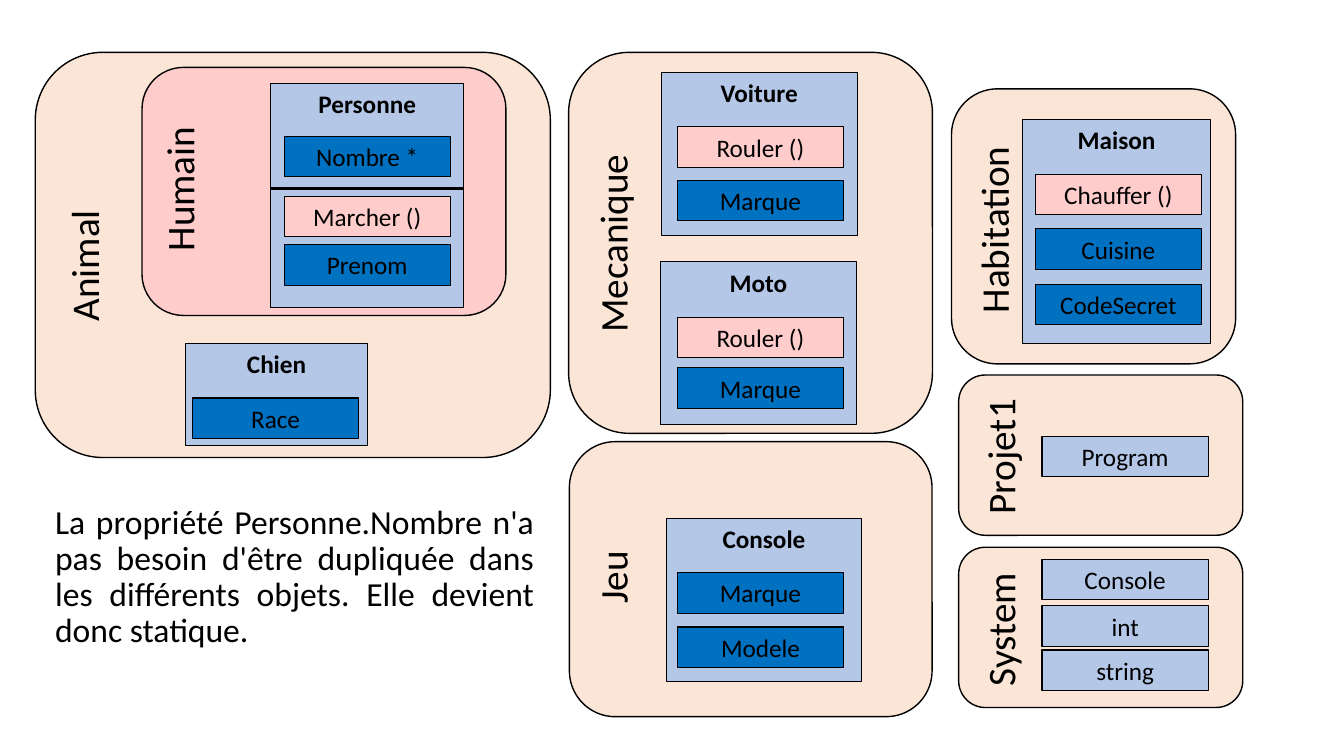
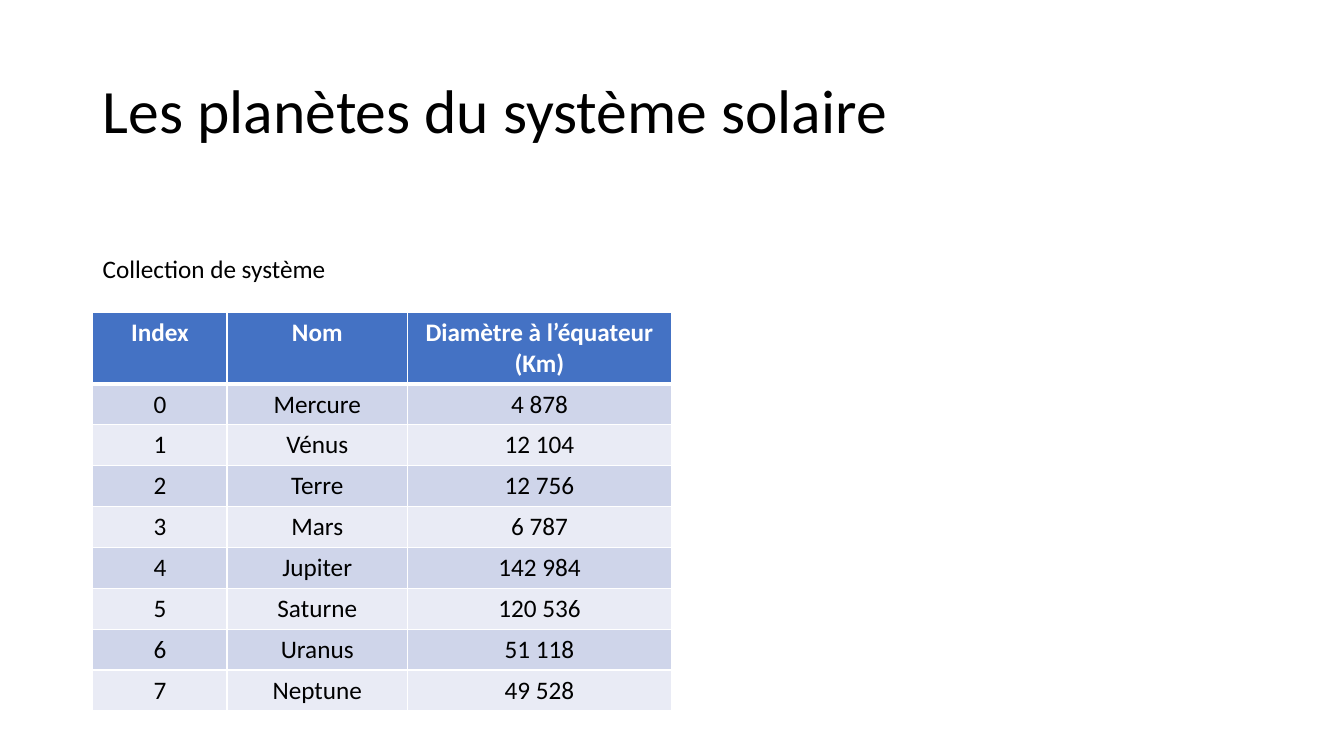
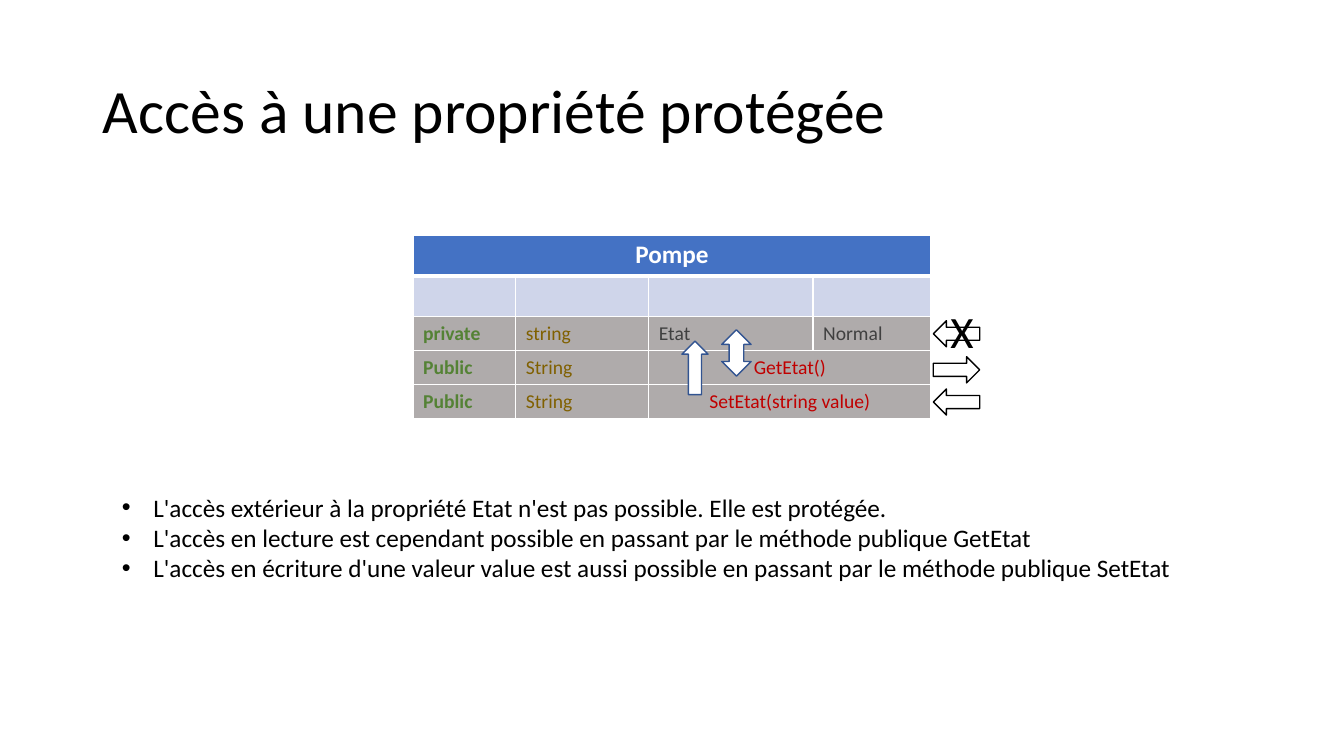
"""Build three slides on classes, a planet collection and protected access."""
from lxml import etree
from pptx import Presentation
from pptx.dml.color import RGBColor
from pptx.enum.shapes import MSO_CONNECTOR, MSO_SHAPE
from pptx.enum.text import MSO_ANCHOR, MSO_AUTO_SIZE, PP_ALIGN
from pptx.oxml.ns import qn
from pptx.util import Cm, Pt

LEFT, CENTER, JUSTIFY = PP_ALIGN.LEFT, PP_ALIGN.CENTER, PP_ALIGN.JUSTIFY
TOP, MIDDLE = MSO_ANCHOR.TOP, MSO_ANCHOR.MIDDLE
NO_FIT = MSO_AUTO_SIZE.NONE
RECTANGLE, ROUNDED = MSO_SHAPE.RECTANGLE, MSO_SHAPE.ROUNDED_RECTANGLE
RIGHT_ARROW, UP_DOWN_ARROW = MSO_SHAPE.RIGHT_ARROW, MSO_SHAPE.UP_DOWN_ARROW
STRAIGHT = MSO_CONNECTOR.STRAIGHT

FONT = "Calibri"
COLOURS = {
    "black": "000000", "white": "FFFFFF", "peach": "FBE5D6", "pink": "FFCCCC",
    "class": "B4C7E7", "property": "0070C0", "header": "4472C4",
    "band": "CFD5EA", "light band": "E9EBF5", "grey": "AFABAB",
    "green": "548235", "brown": "806000", "dark grey": "404040",
    "red": "C00000", "arrow": "325491",
}
BLANK, TITLE_ONLY, TITLE_AND_BODY = 6, 5, 1
MEMBER_WIDTH, MEMBER_HEIGHT = 4.19, 1.02
LABEL_HEIGHT = 1.45

NAMESPACES = [
    ("Mecanique", "peach", (14.33, 1.32, 9.17, 9.6), (15.43, 6.11, 5.05)),
    ("Animal", "peach", (0.89, 1.32, 12.98, 10.21), (2.11, 6.67, 3.35)),
    ("Humain", "pink", (3.58, 1.7, 9.17, 6.25), (4.51, 4.74, 3.68)),
    ("Habitation", "peach", (23.98, 2.24, 7.16, 6.93), (25.04, 5.75, 4.78)),
    ("Jeu", "peach", (14.35, 11.13, 9.14, 6.93), (15.43, 14.54, 1.85)),
    ("Projet1", "peach", (24.16, 9.45, 7.16, 4.04), (25.2, 11.49, 3.45)),
    ("System", "peach", (24.16, 13.79, 7.16, 4.04), (25.2, 15.84, 3.4)),
]
CLASSES = [
    ("Personne", (6.83, 2.11, 4.85, 5.64), 7.16,
     [("Nombre *", 3.43), ("Marcher ()", 4.95), ("Prenom", 6.17)]),
    ("Voiture", (16.66, 1.83, 4.95, 4.11), 17.07,
     [("Rouler ()", 3.2), ("Marque", 4.55)]),
    ("Moto", (16.64, 6.6, 4.95, 4.11), 17.07,
     [("Rouler ()", 8), ("Marque", 9.27)]),
    ("Chien", (4.67, 8.66, 4.6, 2.57), 4.85, [("Race", 10.03)]),
    ("Maison", (25.78, 3.02, 4.72, 5.64), 26.09,
     [("Chauffer ()", 4.39), ("Cuisine", 5.77), ("CodeSecret", 7.16)]),
    ("Console", (16.79, 13.06, 4.93, 4.11), 17.07,
     [("Marque", 14.43), ("Modele", 15.8)]),
]
PLAIN_CLASSES = [("Program", 11), ("Console", 14.1), ("int", 15.27), ("string", 16.38)]
STATIC_NOTE = (
    "La propriété Personne.Nombre n'a pas besoin d'être dupliquée dans les "
    "différents objets. Elle devient donc statique."
)
PLANETS = [
    ("Mercure", "4 878"), ("Vénus", "12 104"), ("Terre", "12 756"),
    ("Mars", "6 787"), ("Jupiter", "142 984"), ("Saturne", "120 536"),
    ("Uranus", "51 118"), ("Neptune", "49 528"),
]
PUMP_ROWS = [
    ["Pompe", None, None, None],
    ["", "", "", ""],
    ["private", "string", "Etat", "Normal"],
    ["Public", "String", "GetEtat()", None],
    ["Public", "String", "SetEtat(string value)", None],
]
ACCESS_RULES = [
    "L'accès extérieur à la propriété Etat n'est pas possible. Elle est protégée.",
    "L'accès en lecture est cependant possible en passant par le méthode publique GetEtat",
    "L'accès en écriture d'une valeur value est aussi possible en passant par le "
    "méthode publique SetEtat",
]
HEADER_LOOK = ("header", "white", 18, True, CENTER)


def rgb(name):
    return RGBColor.from_string(COLOURS[name])


def planet_look(row, column):
    if row == 0:
        return HEADER_LOOK
    return ("band" if row % 2 else "light band", "black", 18, False, CENTER)


def pump_look(row, column):
    if row == 0:
        return HEADER_LOOK
    if row == 1:
        return ("band", "black", 18, False, LEFT)
    if row > 2 and column >= 2:
        return ("grey", "red", 14, False, CENTER)
    colour = ("green", "brown", "dark grey", "dark grey")[column]
    return ("grey", colour, 14, column == 0, LEFT)


class Deck:
    def __init__(self):
        self.deck = Presentation()
        self.deck.slide_width, self.deck.slide_height = Cm(33.87), Cm(19.05)
        self.page = None

    def new_page(self, layout, title=None):
        self.page = self.deck.slides.add_slide(self.deck.slide_layouts[layout])
        if title:
            box = self.page.shapes.title
            self.place(box, (2.34, 1.02, 29.21, 3.68))
            self.fill_text(box.text_frame, title, 44, spacing=0.9, anchor=MIDDLE)

    def place(self, box, area):
        box.left, box.top, box.width, box.height = map(Cm, area)

    def style(self, paragraph, size, colour="black", bold=False, align=LEFT, spacing=1.0):
        paragraph.alignment = align
        paragraph.line_spacing = spacing
        paragraph.space_before = Pt(0)
        for span in paragraph.runs:
            span.font.name = FONT
            span.font.size = Pt(size)
            span.font.bold = bold
            span.font.color.rgb = rgb(colour)

    def fill_text(self, frame, text, size, anchor=TOP, wrap=True, **look):
        frame.text = text
        frame.auto_size = NO_FIT
        frame.word_wrap = wrap
        frame.vertical_anchor = anchor
        for paragraph in frame.paragraphs:
            self.style(paragraph, size, **look)

    def shape(self, kind, area, fill, line="black", weight=1, rotation=0):
        shape = self.page.shapes.add_shape(kind, *map(Cm, area))
        shape.shadow.inherit = False
        shape.fill.solid()
        shape.fill.fore_color.rgb = rgb(fill)
        shape.line.color.rgb = rgb(line)
        shape.line.width = Pt(weight)
        shape.rotation = rotation
        return shape

    def text(self, text, area, size, rotation=0, **look):
        box = self.page.shapes.add_textbox(*map(Cm, area))
        box.rotation = rotation
        self.fill_text(box.text_frame, text, size, **look)

    def box(self, text, area, fill, bold=False):
        box = self.shape(RECTANGLE, area, fill, weight=0.75)
        self.fill_text(box.text_frame, text, 18, bold=bold, align=CENTER)

    def member(self, text, left, top, fill):
        self.box(text, (left, top, MEMBER_WIDTH, MEMBER_HEIGHT), fill)

    def namespace(self, name, fill, area, label):
        self.shape(ROUNDED, area, fill)
        middle_x, middle_y, width = label
        label_area = (middle_x - width / 2, middle_y - LABEL_HEIGHT / 2, width, LABEL_HEIGHT)
        self.text(name, label_area, 28, rotation=270, wrap=False)

    def class_box(self, name, area, member_left, members):
        self.box(name, area, "class", bold=True)
        for text, top in members:
            self.member(text, member_left, top, "pink" if text.endswith("()") else "property")

    def line(self, start, end, weight):
        line = self.page.shapes.add_connector(STRAIGHT, *map(Cm, start + end))
        line.line.color.rgb = rgb("black")
        line.line.width = Pt(weight)
        etree.SubElement(line._element.spPr, qn("a:effectLst"))

    def bullets(self, items, area):
        box = self.page.placeholders[1]
        self.place(box, area)
        self.fill_text(box.text_frame, "\n".join(items), 18)
        for paragraph in box.text_frame.paragraphs:
            properties = paragraph._p.get_or_add_pPr()
            properties.set("marL", str(Cm(0.79)))
            properties.set("indent", str(-Cm(0.79)))

    def borders(self, cell, row):
        properties = cell._tc.get_or_add_tcPr()
        weights = {"lnL": 1, "lnR": 1, "lnT": 3 if row == 1 else 1, "lnB": 3 if row == 0 else 1}
        for side, weight in weights.items():
            edge = etree.SubElement(properties, qn(f"a:{side}"), w=str(Pt(weight)))
            fill = etree.SubElement(edge, qn("a:solidFill"))
            etree.SubElement(fill, qn("a:srgbClr"), val=COLOURS["white"])

    def table(self, left, top, widths, heights, rows, look):
        area = (left, top, sum(widths), sum(heights))
        table = self.page.shapes.add_table(len(rows), len(widths), *map(Cm, area)).table
        for column, width in zip(table.columns, widths):
            column.width = Cm(width)
        for row, (texts, height) in enumerate(zip(rows, heights)):
            table.rows[row].height = Cm(height)
            first = 0
            for column, text in enumerate(texts):
                cell = table.cell(row, column)
                fill, colour, size, bold, align = look(row, column)
                self.borders(cell, row)
                cell.fill.solid()
                cell.fill.fore_color.rgb = rgb(fill)
                if text is not None:
                    first = column
                    cell.text_frame.text = text
                    self.style(cell.text_frame.paragraphs[0], size, colour, bold, align)
                elif column + 1 == len(texts):
                    table.cell(row, first).merge(cell)


def classes_page(deck):
    deck.new_page(BLANK)
    for namespace in NAMESPACES:
        deck.namespace(*namespace)
    for class_data in CLASSES:
        deck.class_box(*class_data)
    for name, top in PLAIN_CLASSES:
        deck.member(name, 26.26, top, "class")
    deck.text(STATIC_NOTE, (1.14, 12.6, 12.57, 5.49), 24, align=JUSTIFY, spacing=0.9)
    deck.line((6.83, 4.75), (11.66, 4.75), 2.25)


def planets_page(deck):
    deck.new_page(TITLE_ONLY, "Les planètes du système solaire")
    deck.text("Collection de système", (2.34, 6.25, 6.2, 1.02), 18, wrap=False)
    rows = [("Index", "Nom", "Diamètre à l’équateur (Km)")]
    rows += [(str(index), *planet) for index, planet in enumerate(PLANETS)]
    heights = [1.78] + [1.02] * len(PLANETS)
    deck.table(2.34, 7.87, [3.38, 4.55, 6.65], heights, rows, planet_look)


def access_page(deck):
    deck.new_page(TITLE_AND_BODY, "Accès à une propriété protégée")
    deck.bullets(ACCESS_RULES, (2.82, 12.27, 28.22, 2.57))
    heights = [1.02] * 2 + [0.85] * 3
    deck.table(10.41, 5.92, [2.59, 3.35, 4.14, 2.97], heights, PUMP_ROWS, pump_look)
    for top, rotation in ((8.08, 180), (8.99, 0), (9.8, 180)):
        deck.shape(RIGHT_ARROW, (23.52, top, 1.17, 0.66), "white", rotation=rotation)
    deck.shape(RIGHT_ARROW, (16.84, 8.94, 1.35, 0.66), "white", "arrow", rotation=270)
    deck.shape(UP_DOWN_ARROW, (18.19, 8.31, 0.74, 1.17), "white", "arrow")
    deck.text("X", (23.7, 7.54, 1.12, 1.63), 32, wrap=False)


def main():
    deck = Deck()
    classes_page(deck)
    planets_page(deck)
    access_page(deck)
    deck.deck.save("out.pptx")


if __name__ == "__main__":
    main()
